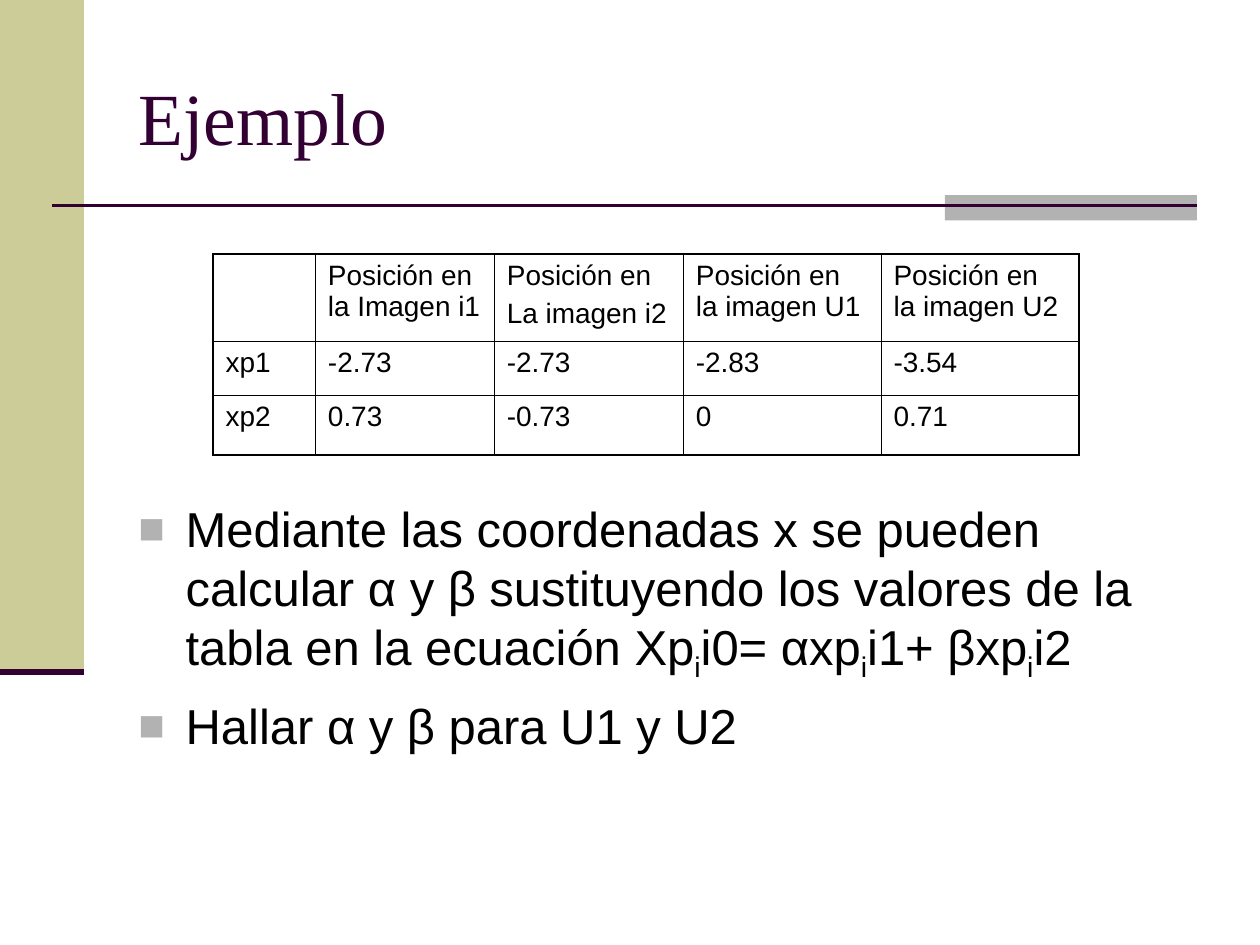
import pptx
import pptx.util
import pptx.dml.color
import pptx.enum.shapes
import pptx.enum.text
import pptx.oxml.ns
from lxml import etree

Pt = pptx.util.Pt
RGB = pptx.dml.color.RGBColor
PLUM = RGB(0x33, 0x00, 0x33)
OLIVE = RGB(0xCC, 0xCC, 0x99)
GRAY = RGB(0xB2, 0xB2, 0xB2)
BLACK = RGB(0, 0, 0)

TITLE = "Ejemplo"
ROWS = [
    ["", "Posición en la Imagen i1", "Posición en\nLa imagen i2",
     "Posición en la imagen U1", "Posición en la imagen U2"],
    ["xp1", "-2.73", "-2.73", "-2.83", "-3.54"],
    ["xp2", "0.73", "-0.73", "0", "0.71"],
]
COL_WIDTHS = [58.5, 102.25, 108, 113, 113.25]
ROW_HEIGHTS = [49.5, 31, 34]
SUB = "i"
BULLETS = [
    ["Mediante las coordenadas x se pueden calcular α y β sustituyendo "
     "los valores de la tabla en la ecuación Xp", SUB, "i0= αxp", SUB,
     "i1+ βxp", SUB, "i2"],
    ["Hallar α y β para U1 y U2"],
]
BLOCKS = [(0, 0, 48, 384, OLIVE), (540, 111.5, 144, 14.5, GRAY)]
RULES = [(30, 684, 117.5, 1.5), (0, 48, 384, 3.5)]


def add(parent, tag, **attrs):
    return etree.SubElement(parent, pptx.oxml.ns.qn(tag), attrs)


def set_font(p, name, size, color):
    p.font.name = name
    p.font.size = Pt(size)
    p.font.color.rgb = color


def add_text(s, left, top, width, height):
    tf = s.shapes.add_textbox(Pt(left), Pt(top), Pt(width), Pt(height)).text_frame
    tf.word_wrap = True
    return tf


def add_border(cell, side, width):
    ln = add(cell._tc.get_or_add_tcPr(), "a:ln" + side, w=str(Pt(width)))
    add(add(ln, "a:solidFill"), "a:srgbClr", val=str(BLACK))


def add_bullet(p):
    pPr = p._p.get_or_add_pPr()
    pPr.set("marL", str(Pt(27)))
    pPr.set("indent", str(-Pt(27)))
    add(add(pPr, "a:buClr"), "a:srgbClr", val=str(GRAY))
    add(pPr, "a:buSzPct", val="90000")
    add(pPr, "a:buFont", typeface="Arial")
    add(pPr, "a:buChar", char="■")


def add_decoration(s):
    for left, top, width, height, color in BLOCKS:
        sp = s.shapes.add_shape(pptx.enum.shapes.MSO_SHAPE.RECTANGLE,
                                Pt(left), Pt(top), Pt(width), Pt(height))
        sp.shadow.inherit = False
        sp.fill.solid()
        sp.fill.fore_color.rgb = color
        sp.line.fill.background()
    for x1, x2, y, width in RULES:
        line = s.shapes.add_connector(pptx.enum.shapes.MSO_CONNECTOR.STRAIGHT,
                                      Pt(x1), Pt(y), Pt(x2), Pt(y))
        line.line.color.rgb = PLUM
        line.line.width = Pt(width)
        add(line._element.spPr, "a:effectLst")


def add_table(s):
    table = s.shapes.add_table(len(ROWS), len(COL_WIDTHS), Pt(121.75), Pt(145.25),
                               Pt(sum(COL_WIDTHS)), Pt(sum(ROW_HEIGHTS))).table
    table.first_row = table.horz_banding = False
    for col, width in zip(table.columns, COL_WIDTHS):
        col.width = Pt(width)
    for row, height in zip(table.rows, ROW_HEIGHTS):
        row.height = Pt(height)
    for i, texts in enumerate(ROWS):
        for j, text in enumerate(texts):
            cell = table.cell(i, j)
            outer = {"L": j == 0, "R": j == len(COL_WIDTHS) - 1,
                     "T": i == 0, "B": i == len(ROWS) - 1}
            for side, on_edge in outer.items():
                add_border(cell, side, 1.08 if on_edge else 0.45)
            cell.fill.background()
            cell.text_frame.text = text
            for k, p in enumerate(cell.text_frame.paragraphs):
                if k:
                    p.space_before = Pt(4)
                set_font(p, "Arial", 16, BLACK)


def add_body(s):
    tf = add_text(s, 72, 281.5, 612, 201.5)
    for i, parts in enumerate(BULLETS):
        p = tf.add_paragraph() if i else tf.paragraphs[0]
        if i:
            p.space_before = Pt(7)
        add_bullet(p)
        set_font(p, "Arial", 28, BLACK)
        for part in parts:
            r = p.add_run()
            r.text = part
            if part == SUB:
                r.font._element.set("baseline", "-25000")


def main():
    prs = pptx.Presentation()
    prs.slide_width, prs.slide_height = Pt(720), Pt(540)
    s = prs.slides.add_slide(prs.slide_layouts[6])
    add_decoration(s)
    tf = add_text(s, 72, 21.5, 612, 90)
    tf.vertical_anchor = pptx.enum.text.MSO_ANCHOR.MIDDLE
    tf.text = TITLE
    set_font(tf.paragraphs[0], "Times New Roman", 42, PLUM)
    add_body(s)
    add_table(s)
    prs.save("out.pptx")


if __name__ == "__main__":
    main()
